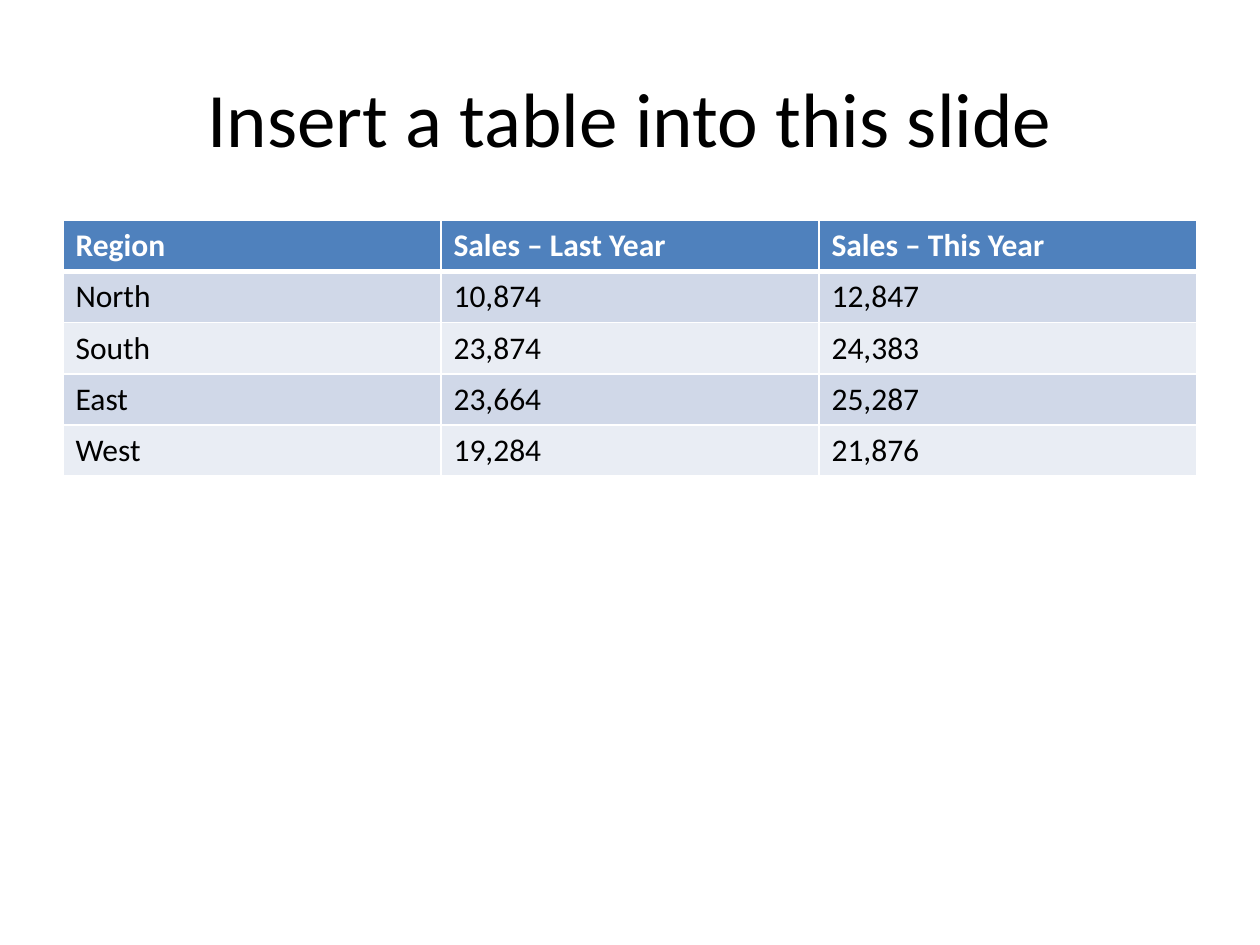
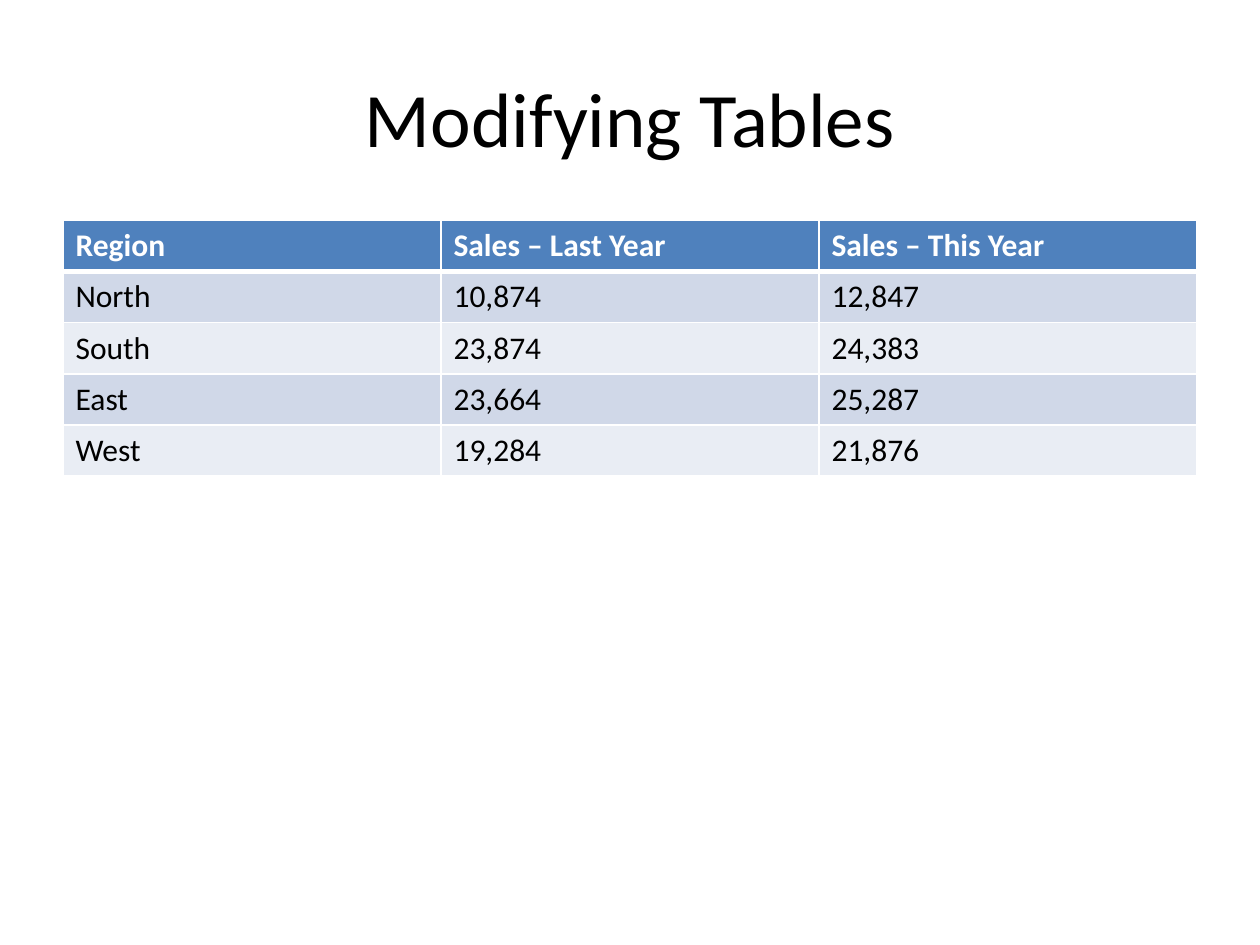
from dataclasses import dataclass

from lxml import etree
from pptx import Presentation
from pptx.dml.color import RGBColor
from pptx.enum import text
from pptx.oxml import ns
from pptx.util import Pt


@dataclass(frozen=True)
class Theme:
    font: str = "Calibri"
    title_size: float = 44
    table_size: float = 18
    ink: str = "000000"
    paper: str = "FFFFFF"
    header: str = "4F81BD"
    bands: tuple = ("D0D8E8", "E9EDF4")
    rule: float = 1
    header_rule: float = 3


THEME = Theme()
SLIDE_SIZE = (720, 540)
TITLE_BOX = (36, 21.6, 648, 90)
TABLE_BOX = (36, 126, 648, 146)
TITLES = ("Insert a table into this slide", "Modifying Tables")
SALES = (
    ("Region", "Sales – Last Year", "Sales – This Year"),
    ("North", "10,874", "12,847"),
    ("South", "23,874", "24,383"),
    ("East", "23,664", "25,287"),
    ("West", "19,284", "21,876"),
)


def style_font(paragraph, size, color, bold=False):
    font = paragraph.font
    font.name = THEME.font
    font.size = Pt(size)
    font.bold = bold
    font.color.rgb = RGBColor.from_string(color)


def add_borders(cell, top, bottom):
    properties = cell._tc.get_or_add_tcPr()
    widths = {"lnL": THEME.rule, "lnR": THEME.rule, "lnT": top, "lnB": bottom}
    for side, width in widths.items():
        line = etree.SubElement(properties, ns.qn(f"a:{side}"), w=str(Pt(width)))
        fill = etree.SubElement(line, ns.qn("a:solidFill"))
        etree.SubElement(fill, ns.qn("a:srgbClr"), val=THEME.paper)


def place_title(slide, box, title):
    shape = slide.shapes.title
    shape.left, shape.top, shape.width, shape.height = map(Pt, box)
    frame = shape.text_frame
    frame.text = title
    frame.word_wrap = True
    frame.vertical_anchor = text.MSO_ANCHOR.MIDDLE
    paragraph = frame.paragraphs[0]
    paragraph.alignment = text.PP_ALIGN.CENTER
    style_font(paragraph, THEME.title_size, THEME.ink)


def place_table(slide, box, rows):
    table = slide.shapes.add_table(len(rows), len(rows[0]), *map(Pt, box)).table
    for column in table.columns:
        column.width = Pt(box[2] / len(rows[0]))
    for row_index, values in enumerate(rows):
        is_header = row_index == 0
        table.rows[row_index].height = Pt(box[3] / len(rows))
        fill = THEME.header if is_header else THEME.bands[(row_index - 1) % 2]
        top = THEME.header_rule if row_index == 1 else THEME.rule
        bottom = THEME.header_rule if is_header else THEME.rule
        for column_index, value in enumerate(values):
            cell = table.cell(row_index, column_index)
            cell.text = value
            add_borders(cell, top, bottom)
            cell.fill.solid()
            cell.fill.fore_color.rgb = RGBColor.from_string(fill)
            style_font(cell.text_frame.paragraphs[0], THEME.table_size,
                       THEME.paper if is_header else THEME.ink, is_header)


def add_table_slide(presentation, title, rows):
    slide = presentation.slides.add_slide(
        presentation.slide_layouts.get_by_name("Title Only"))
    place_title(slide, TITLE_BOX, title)
    place_table(slide, TABLE_BOX, rows)


def main():
    presentation = Presentation()
    presentation.slide_width, presentation.slide_height = map(Pt, SLIDE_SIZE)
    for title in TITLES:
        add_table_slide(presentation, title, SALES)
    presentation.save("out.pptx")


if __name__ == "__main__":
    main()
